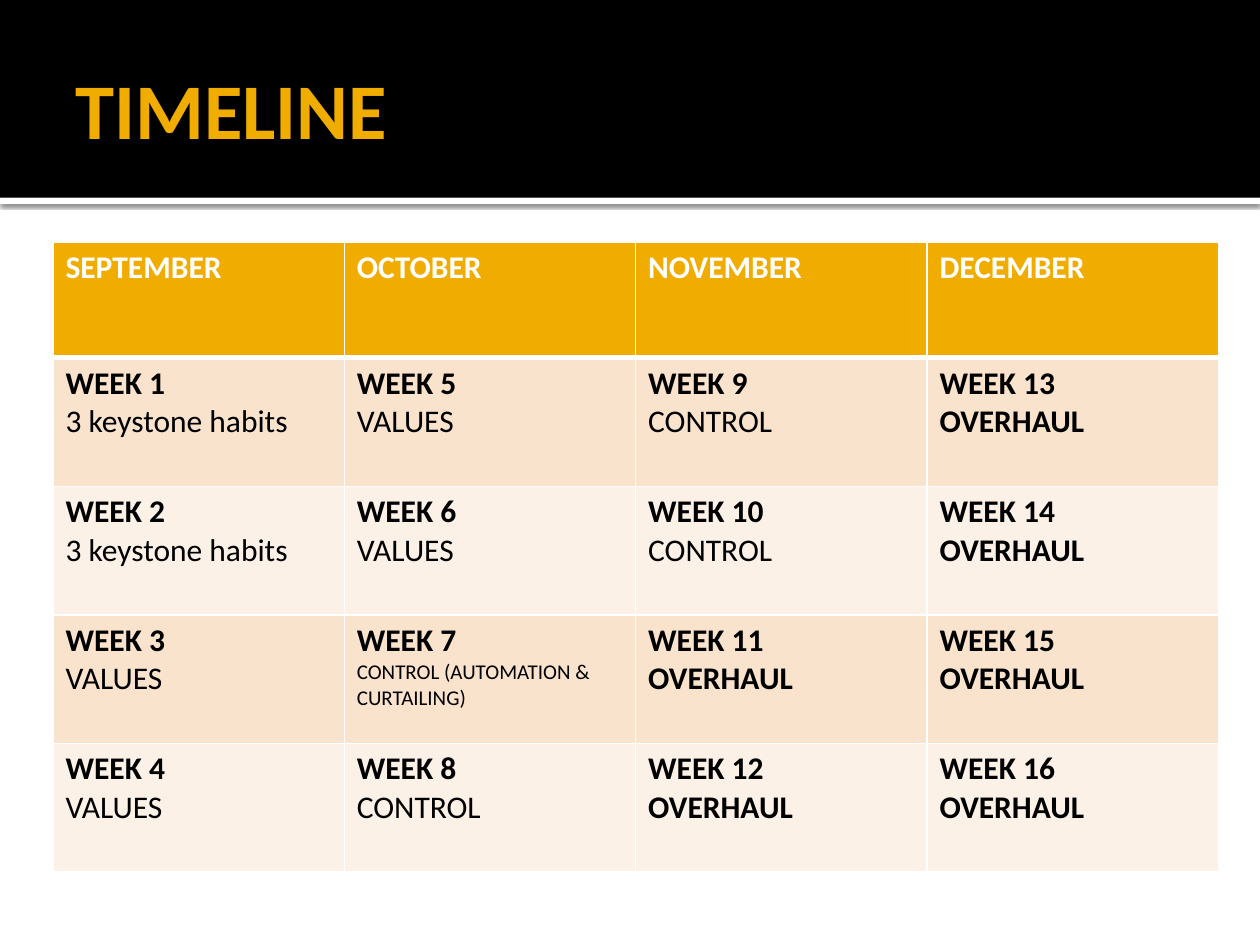
"""Build the TIMELINE slide: a title band above a four-month table of weekly topics."""
from lxml import etree
from pptx import Presentation
from pptx.dml.color import RGBColor
from pptx.enum.shapes import MSO_SHAPE
from pptx.enum.text import MSO_ANCHOR
from pptx.oxml import parse_xml
from pptx.util import Pt

RECTANGLE = MSO_SHAPE.RECTANGLE
MIDDLE = MSO_ANCHOR.MIDDLE
NAMESPACE = "http://schemas.openxmlformats.org/drawingml/2006/main"
THEME = {
    "font": "Calibri", "title": 45, "body": 18, "small": 12,
    "gold": "F0AD00", "black": "000000", "white": "FFFFFF",
    "bands": ("F9E3CC", "FCF1E7"),
}
MONTHS = ("SEPTEMBER", "OCTOBER", "NOVEMBER", "DECEMBER")
TOPICS = (
    ("3 keystone habits", "3 keystone habits", "VALUES", "VALUES"),
    ("VALUES", "VALUES", "CONTROL (AUTOMATION & CURTAILING)", "CONTROL"),
    ("CONTROL", "CONTROL", "OVERHAUL", "OVERHAUL"),
    ("OVERHAUL",) * 4,
)
WEEKS = len(TOPICS[0])


def add_span(para, text, size, color, bold=True):
    span = para.add_run()
    span.text = text
    span.font.name = THEME["font"]
    span.font.size = Pt(size)
    span.font.bold = bold
    span.font.color.rgb = RGBColor.from_string(color)


def style_cell(cell, color, top, bottom):
    properties = cell._tc.get_or_add_tcPr()
    for side, width in (("L", 1), ("R", 1), ("T", top), ("B", bottom)):
        line = etree.SubElement(properties, f"{{{NAMESPACE}}}ln{side}", w=str(Pt(width)))
        fill = etree.SubElement(line, f"{{{NAMESPACE}}}solidFill")
        etree.SubElement(fill, f"{{{NAMESPACE}}}srgbClr", val=THEME["white"])
    cell.fill.solid()
    cell.fill.fore_color.rgb = RGBColor.from_string(color)


deck = Presentation()
deck.slide_width, deck.slide_height = Pt(720), Pt(540)
page = deck.slides.add_slide(deck.slide_layouts[6])

for top, height, color in ((113, 3.6, "white"), (0, 113, "black")):
    band = page.shapes.add_shape(RECTANGLE, Pt(0), Pt(top), Pt(720), Pt(height))
    band.shadow.inherit = False
    band.fill.solid()
    band.fill.fore_color.rgb = RGBColor.from_string(THEME[color])
    band.line.fill.background()
    if color == "white":
        effects = band._element.spPr.find(f"{{{NAMESPACE}}}effectLst")
        effects.append(parse_xml(
            f'<a:outerShdw xmlns:a="{NAMESPACE}" blurRad="{Pt(2.5)}" dist="{Pt(0.8)}" '
            'dir="5400000" algn="tl" rotWithShape="0"><a:srgbClr val="000000">'
            '<a:alpha val="60000"/></a:srgbClr></a:outerShdw>'))

title = page.shapes.add_textbox(Pt(36), Pt(12.24), Pt(648), Pt(98.64)).text_frame
title.word_wrap = True
title.vertical_anchor = MIDDLE
title.margin_left, title.margin_right = Pt(7.2), Pt(3.6)
add_span(title.paragraphs[0], "TIMELINE", THEME["title"], THEME["gold"])

table = page.shapes.add_table(
    WEEKS + 1, len(MONTHS), Pt(30.24), Pt(138.24), Pt(666), Pt(360)).table
for row_index, row in enumerate(table.rows):
    row.height = Pt(73.44 if row_index else 66.24)

for column, (month, topics) in enumerate(zip(MONTHS, TOPICS)):
    header = table.cell(0, column)
    style_cell(header, THEME["gold"], 1, 3)
    add_span(header.text_frame.paragraphs[0], month, THEME["body"], THEME["white"])
    for week, topic in enumerate(topics):
        cell = table.cell(week + 1, column)
        style_cell(cell, THEME["bands"][week % 2], 1 if week else 3, 1)
        frame = cell.text_frame
        label = f"WEEK {column * WEEKS + week + 1}"
        add_span(frame.paragraphs[0], label, THEME["body"], THEME["black"])
        size = THEME["small"] if "(" in topic else THEME["body"]
        add_span(frame.add_paragraph(), topic, size, THEME["black"], topic == "OVERHAUL")

deck.save("out.pptx")
